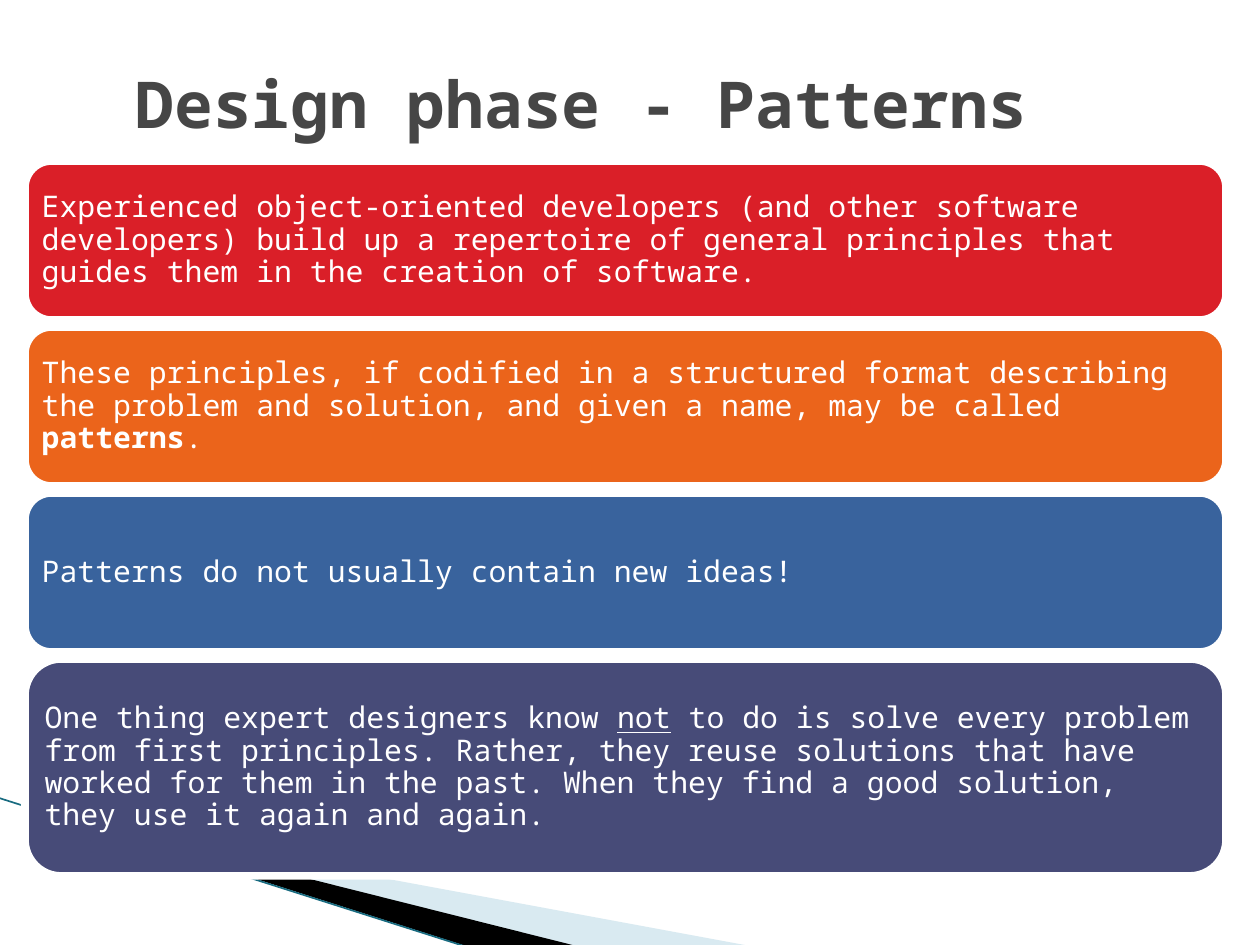
from lxml import etree
from pptx import Presentation
from pptx.dml.color import RGBColor
from pptx.enum.shapes import MSO_CONNECTOR, MSO_SHAPE
from pptx.enum.text import MSO_ANCHOR, MSO_AUTO_SIZE, PP_ALIGN
from pptx.oxml.ns import qn
from pptx.util import Pt

PX = 914400 / 126
FONT = "Noto Sans Mono"
LEFT, MIDDLE = PP_ALIGN.LEFT, MSO_ANCHOR.MIDDLE


def px(n):
    return round(n * PX)


def rgb(value):
    return RGBColor.from_string(value)


prs = Presentation()
prs.slide_width, prs.slide_height = px(1260), px(945)
s = prs.slides.add_slide(prs.slide_layouts[5])

wedges = [
    ("A0CBDC", 40, [(69, 820), (750, 946), (575, 946), (69, 819)]),
    ("000000", 100, [(67, 818), (576, 946), (469, 947), (68, 819)]),
]
for color, opacity, points in wedges:
    builder = s.shapes.build_freeform(*points[0], scale=PX)
    builder.add_line_segments(points[1:], close=True)
    sp = builder.convert_to_shape()
    sp.shadow.inherit = False
    sp.fill.solid()
    sp.fill.fore_color.rgb = rgb(color)
    sp.line.fill.background()
    if opacity < 100:
        clr = sp.fill._xPr.find(qn("a:solidFill"))[0]
        etree.SubElement(clr, qn("a:alpha"), val=str(opacity * 1000))

edge = s.shapes.add_connector(MSO_CONNECTOR.STRAIGHT, px(-1), px(798), px(467), px(947))
edge.line.color.rgb = rgb("186B80")
edge.line.width = Pt(0.95)
etree.SubElement(edge._element.spPr, qn("a:effectLst"))

panel = s.shapes.add_shape(MSO_SHAPE.RECTANGLE, px(21), px(157), px(1209), px(722))
panel.shadow.inherit = False
panel.fill.solid()
panel.fill.fore_color.rgb = rgb("FFFFFF")
panel.line.fill.background()

title = s.shapes.title
title.left, title.top, title.width, title.height = px(123), px(66), px(1071), px(73)
tf = title.text_frame
tf.text = "Design phase - Patterns"
tf.auto_size = MSO_AUTO_SIZE.NONE
tf.vertical_anchor = MIDDLE
p = tf.paragraphs[0]
p.alignment = LEFT
p.font.name = FONT
p.font.size = Pt(36.9)
p.font.bold = True
p.font.color.rgb = rgb("464646")

cards = [
    ("DA1F28", 159, [
        ("Experienced object-oriented developers (and other software developers) build up "
         "a repertoire of general principles that guides them in the creation of software.", "")]),
    ("EB641B", 159, [
        ("These principles, if codified in a structured format describing the problem "
         "and solution, and given a name, may be called", ""),
        (" patterns", "bold"),
        (".", "")]),
    ("39639D", 159, [("Patterns do not usually contain new ideas!", "")]),
    ("474B78", 217, [
        ("One thing expert designers know ", ""),
        ("not", "underline"),
        (" to do is solve every problem from first principles. Rather, they reuse solutions "
         "that have worked for them in the past. When they find a good solution, they use it "
         "again and again.", "")]),
]
top = 161
for color, height, runs in cards:
    sp = s.shapes.add_shape(MSO_SHAPE.ROUNDED_RECTANGLE, px(25), px(top), px(1201), px(height))
    sp.shadow.inherit = False
    sp.fill.solid()
    sp.fill.fore_color.rgb = rgb(color)
    sp.line.color.rgb = rgb("FFFFFF")
    sp.line.width = Pt(4.33)
    tf = sp.text_frame
    tf.word_wrap = True
    tf.vertical_anchor = MIDDLE
    tf.margin_left = tf.margin_right = tf.margin_top = tf.margin_bottom = px(9)
    p = tf.paragraphs[0]
    p.alignment = LEFT
    p.line_spacing = 0.9
    for text, style in runs:
        r = p.add_run()
        r.text = text
        r.font.name = FONT
        r.font.size = Pt(17)
        r.font.color.rgb = rgb("FFFFFF")
        if style:
            setattr(r.font, style, True)
    top += height + 7

prs.save("out.pptx")
